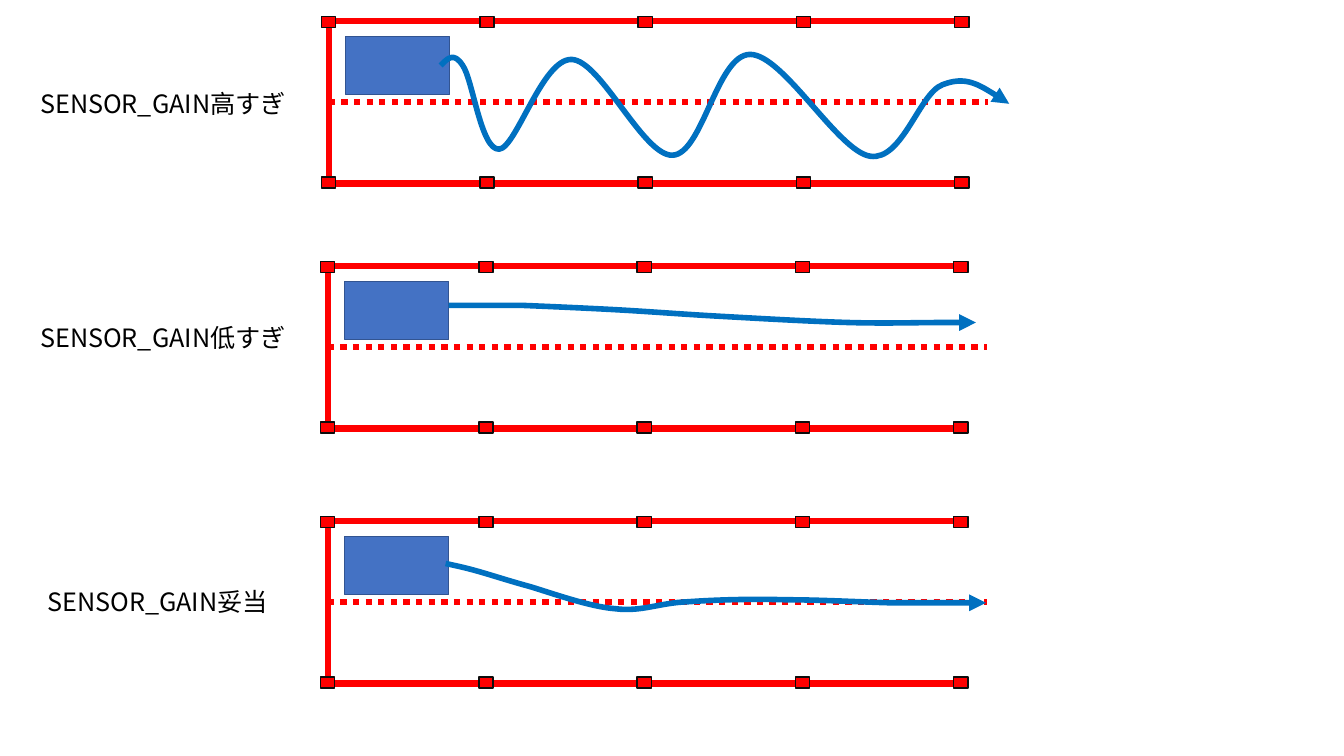
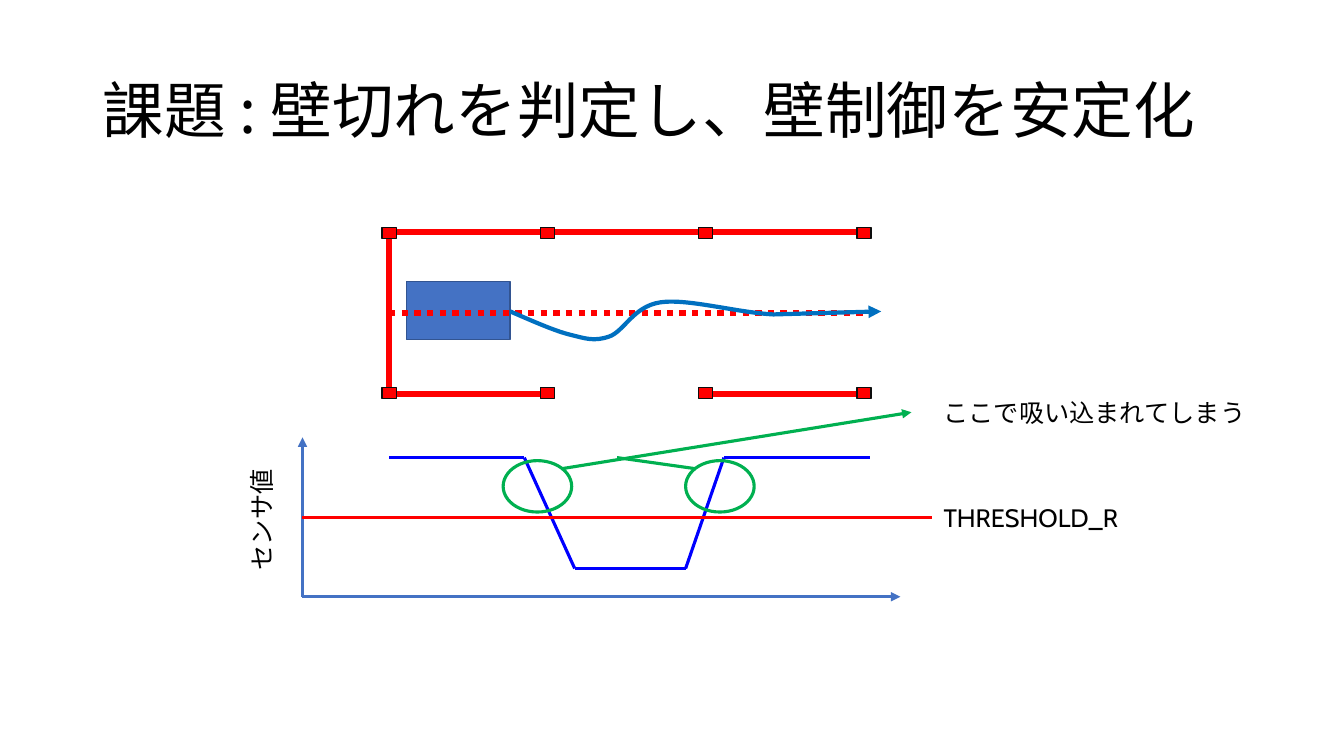
"""Build two slides on how wall-sensor gain and wall gaps affect a robot's path."""
from lxml import etree
from pptx import Presentation
from pptx.dml.color import RGBColor
from pptx.enum.dml import MSO_LINE
from pptx.enum.shapes import MSO_CONNECTOR, MSO_SHAPE
from pptx.enum.text import MSO_ANCHOR, MSO_AUTO_SIZE
from pptx.oxml.ns import qn
from pptx.util import Inches, Pt

STRAIGHT = MSO_CONNECTOR.STRAIGHT
RECTANGLE, OVAL = MSO_SHAPE.RECTANGLE, MSO_SHAPE.OVAL
DOTTED = MSO_LINE.ROUND_DOT
TOP, MIDDLE = MSO_ANCHOR.TOP, MSO_ANCHOR.MIDDLE
GROW, FIXED = MSO_AUTO_SIZE.SHAPE_TO_FIT_TEXT, MSO_AUTO_SIZE.NONE

BLACK = RGBColor(0x00, 0x00, 0x00)
WALL_RED = RGBColor(0xFF, 0x00, 0x00)
POST_EDGE = RGBColor(0x0D, 0x0D, 0x0D)
ROBOT_BLUE = RGBColor(0x44, 0x72, 0xC4)
ROBOT_EDGE = RGBColor(0x32, 0x54, 0x91)
PATH_BLUE = RGBColor(0x00, 0x70, 0xC0)
SIGNAL_BLUE = RGBColor(0x00, 0x00, 0xFF)
NOTE_GREEN = RGBColor(0x00, 0xB0, 0x50)
JAPANESE, LATIN = "Noto Sans CJK JP", "Cabin"

CELL = 1.57
LANE_HEIGHT = 1.61
POST_WIDTH, POST_HEIGHT = 0.14, 0.11
ROBOT_WIDTH, ROBOT_HEIGHT = 1.03, 0.58


def write(slide, text, left, top, width, height=0.4, size=18, font=JAPANESE,
          anchor=TOP, fit=GROW, spacing=1.0, rotation=0):
    box = slide.shapes.add_textbox(Inches(left), Inches(top), Inches(width), Inches(height))
    box.rotation = rotation
    frame = box.text_frame
    frame.word_wrap = True
    frame.auto_size = fit
    frame.vertical_anchor = anchor
    paragraph = frame.paragraphs[0]
    paragraph.line_spacing = spacing
    run = paragraph.add_run()
    run.text = text
    run.font.size = Pt(size)
    run.font.name = font
    run.font.color.rgb = BLACK
    etree.SubElement(run.font._element, qn("a:ea"), typeface=font)


def stroke(slide, points, colour, width, dash=None, arrow=False):
    """Draw a straight line through two points, or a Bézier curve through more."""
    scaled = [(Inches(x), Inches(y)) for x, y in points]
    if len(scaled) == 2:
        mark = slide.shapes.add_connector(STRAIGHT, *scaled[0], *scaled[1])
    else:
        builder = slide.shapes.build_freeform(*scaled[0])
        builder.add_line_segments(scaled[1:], close=False)
        mark = builder.convert_to_shape()
        mark.fill.background()
        steps = list(mark.element.spPr.iter(qn("a:lnTo")))
        for first in range(0, len(steps), 3):
            curve = etree.Element(qn("a:cubicBezTo"))
            steps[first].addprevious(curve)
            for step in steps[first:first + 3]:
                curve.append(step[0])
                step.getparent().remove(step)
    mark.line.color.rgb = colour
    mark.line.width = Pt(width)
    if dash:
        mark.line.dash_style = dash
    properties = mark.element.spPr
    if arrow:
        etree.SubElement(properties.find(qn("a:ln")), qn("a:tailEnd"), type="triangle")
    etree.SubElement(properties, qn("a:effectLst"))


deck = Presentation()
deck.slide_width, deck.slide_height = Inches(13.33), Inches(7.5)
blank = deck.slide_layouts[6]
gain_slide = deck.slides.add_slide(blank)
gap_slide = deck.slides.add_slide(blank)

HIGH_GAIN_PATH = [
    (4.37, 0.65), (4.44, 0.58), (4.5, 0.51), (4.59, 0.65), (4.69, 0.79), (4.77, 1.49),
    (4.95, 1.48), (5.12, 1.47), (5.38, 0.58), (5.67, 0.59), (5.96, 0.6), (6.38, 1.55),
    (6.67, 1.54), (6.97, 1.53), (7.11, 0.54), (7.44, 0.54), (7.77, 0.54), (8.31, 1.5),
    (8.63, 1.55), (8.95, 1.6), (9.12, 0.92), (9.35, 0.84), (9.58, 0.75), (9.8, 0.89),
    (10.01, 1.03)]
LOW_GAIN_PATH = [
    (4.45, 3.03), (4.56, 3.03), (4.67, 3.03), (4.78, 3.03), (4.9, 3.03), (4.95, 3.03),
    (5.19, 3.03), (5.43, 3.04), (5.9, 3.06), (6.23, 3.08), (6.56, 3.1), (6.81, 3.12),
    (7.18, 3.14), (7.54, 3.16), (8.06, 3.19), (8.42, 3.2), (8.78, 3.21), (9.1, 3.2),
    (9.33, 3.2), (9.45, 3.2), (9.56, 3.2), (9.68, 3.2)]
GOOD_GAIN_PATH = [
    (4.42, 5.59), (4.51, 5.61), (4.61, 5.63), (4.75, 5.67), (4.89, 5.71), (5.04, 5.76),
    (5.26, 5.82), (5.49, 5.89), (5.85, 6.02), (6.11, 6.04), (6.37, 6.07), (6.54, 5.98),
    (6.82, 5.97), (7.1, 5.95), (7.46, 5.94), (7.79, 5.95), (8.12, 5.95), (8.49, 5.97),
    (8.82, 5.98), (9.16, 5.98), (9.47, 5.98), (9.78, 5.98)]
GAP_PATH = [
    (5.06, 3.09), (5.27, 3.18), (5.49, 3.28), (5.65, 3.32), (5.81, 3.36), (5.89, 3.39),
    (6.04, 3.34), (6.19, 3.29), (6.28, 3.04), (6.55, 3.0), (6.82, 2.96), (7.3, 3.1),
    (7.67, 3.12), (8.03, 3.11), (8.38, 3.1), (8.74, 3.09)]

lanes = [
    (gain_slide, 3.26, 0.21, 4, None, 0.15, 9.8, HIGH_GAIN_PATH, 4),
    (gain_slide, 3.25, 2.64, 4, None, 0.15, 9.79, LOW_GAIN_PATH, 4),
    (gain_slide, 3.25, 5.17, 4, None, 0.15, 9.79, GOOD_GAIN_PATH, 4),
    (gap_slide, 3.86, 2.3, 3, 1, 0.49, 8.63, GAP_PATH, 3),
]
for slide, left, top, cells, open_cell, robot_drop, centre_end, route, route_width in lanes:
    bottom, centre = top + LANE_HEIGHT, top + LANE_HEIGHT / 2
    post_xs = [left + CELL * index for index in range(cells + 1)]
    blocks = [(left + 0.17, top + robot_drop, ROBOT_WIDTH, ROBOT_HEIGHT, ROBOT_BLUE, ROBOT_EDGE)]
    blocks += [(x - POST_WIDTH / 2, y - POST_HEIGHT / 2, POST_WIDTH, POST_HEIGHT, WALL_RED, POST_EDGE)
               for x in post_xs for y in (top + 0.01, bottom - 0.01)]

    stroke(slide, [(left, bottom), (left, top)], WALL_RED, 4.5)
    for index in range(cells):
        for y in (top, bottom):
            if y == top or index != open_cell:
                stroke(slide, [(post_xs[index], y), (post_xs[index + 1], y)], WALL_RED, 4.5)
    for x, y, width, height, fill, edge in blocks:
        block = slide.shapes.add_shape(RECTANGLE, Inches(x), Inches(y), Inches(width), Inches(height))
        block.shadow.inherit = False
        block.fill.solid()
        block.fill.fore_color.rgb = fill
        block.line.color.rgb = edge
        block.line.width = Pt(1)
    stroke(slide, [(left, centre), (centre_end, centre)], WALL_RED, 4.5, dash=DOTTED)
    stroke(slide, route, PATH_BLUE, route_width, arrow=True)

for text, left, top in [("SENSOR_GAIN高すぎ", 0.3, 0.83),
                        ("SENSOR_GAIN低すぎ", 0.3, 3.15),
                        ("SENSOR_GAIN妥当", 0.37, 5.77)]:
    write(gain_slide, text, left, top, 2.71)

write(gap_slide, "課題 : 壁切れを判定し、壁制御を安定化", 0.92, 0.4, 11.5, 1.45,
      size=44, anchor=MIDDLE, fit=FIXED, spacing=0.9)

signal = [(3.86, 4.54), (5.2, 4.54), (5.7, 5.64), (6.8, 5.64), (7.18, 4.54), (8.63, 4.54)]
for start, end in zip(signal, signal[1:]):
    stroke(gap_slide, [start, end], SIGNAL_BLUE, 2.25)

for axis_end in [(3, 4.34), (8.93, 5.92)]:
    stroke(gap_slide, [(3, 5.92), axis_end], ROBOT_BLUE, 2.25, arrow=True)
stroke(gap_slide, [(3, 5.13), (9.24, 5.13)], WALL_RED, 2.25)

for left in (4.99, 6.8):
    edge_ring = gap_slide.shapes.add_shape(OVAL, Inches(left), Inches(4.57), Inches(0.68), Inches(0.51))
    edge_ring.shadow.inherit = False
    edge_ring.fill.background()
    edge_ring.line.color.rgb = NOTE_GREEN
    edge_ring.line.width = Pt(2.25)
stroke(gap_slide, [(5.57, 4.65), (9.04, 4.09)], NOTE_GREEN, 2.25, arrow=True)
stroke(gap_slide, [(6.9, 4.65), (6.12, 4.54)], NOTE_GREEN, 2.25)

write(gap_slide, "センサ値", 1.67, 4.63, 1.85, rotation=270)
write(gap_slide, "THRESHOLD_R", 9.26, 4.93, 2.16, font=LATIN)
write(gap_slide, "ここで吸い込まれてしまう", 9.26, 3.89, 3.29)

deck.save("out.pptx")
